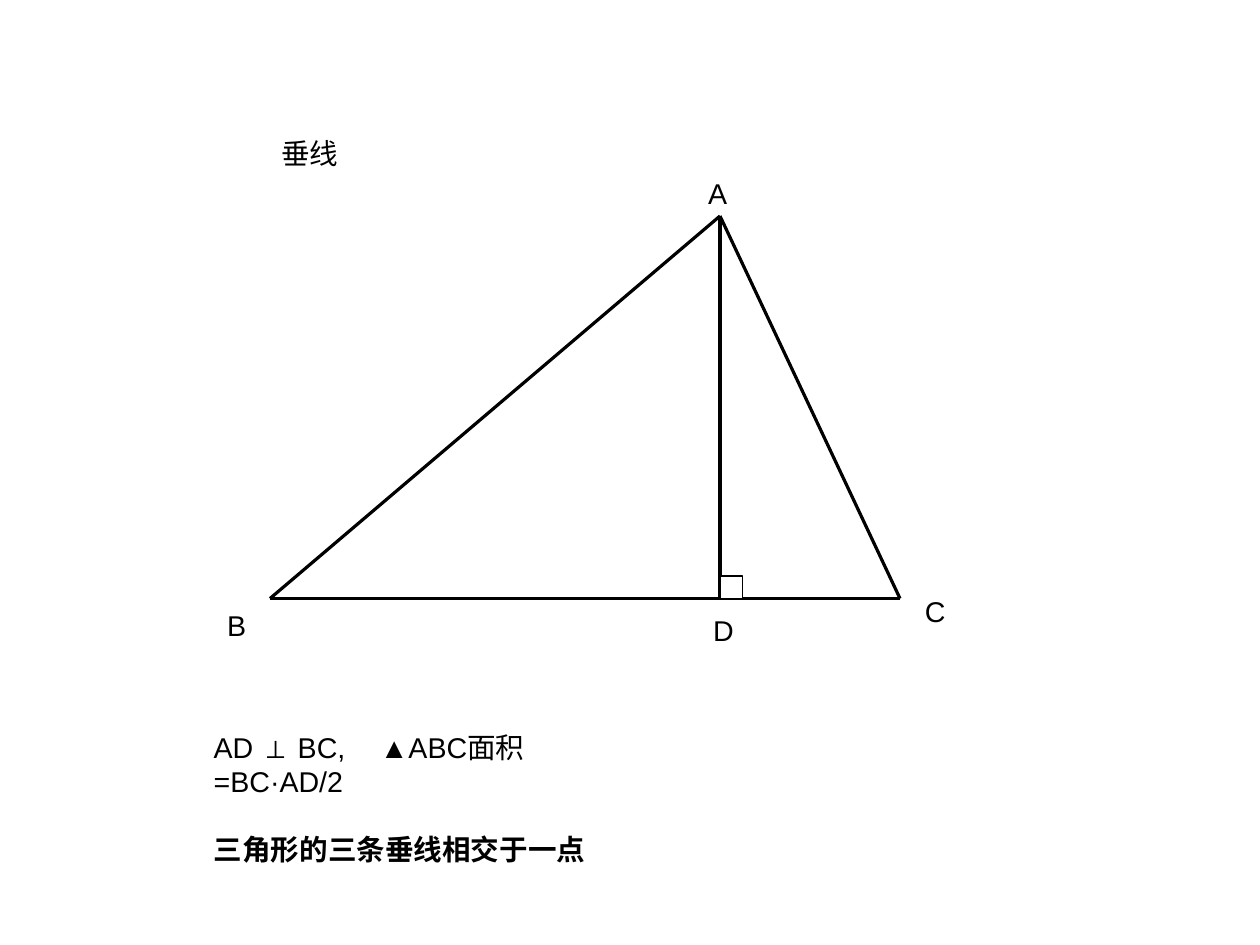
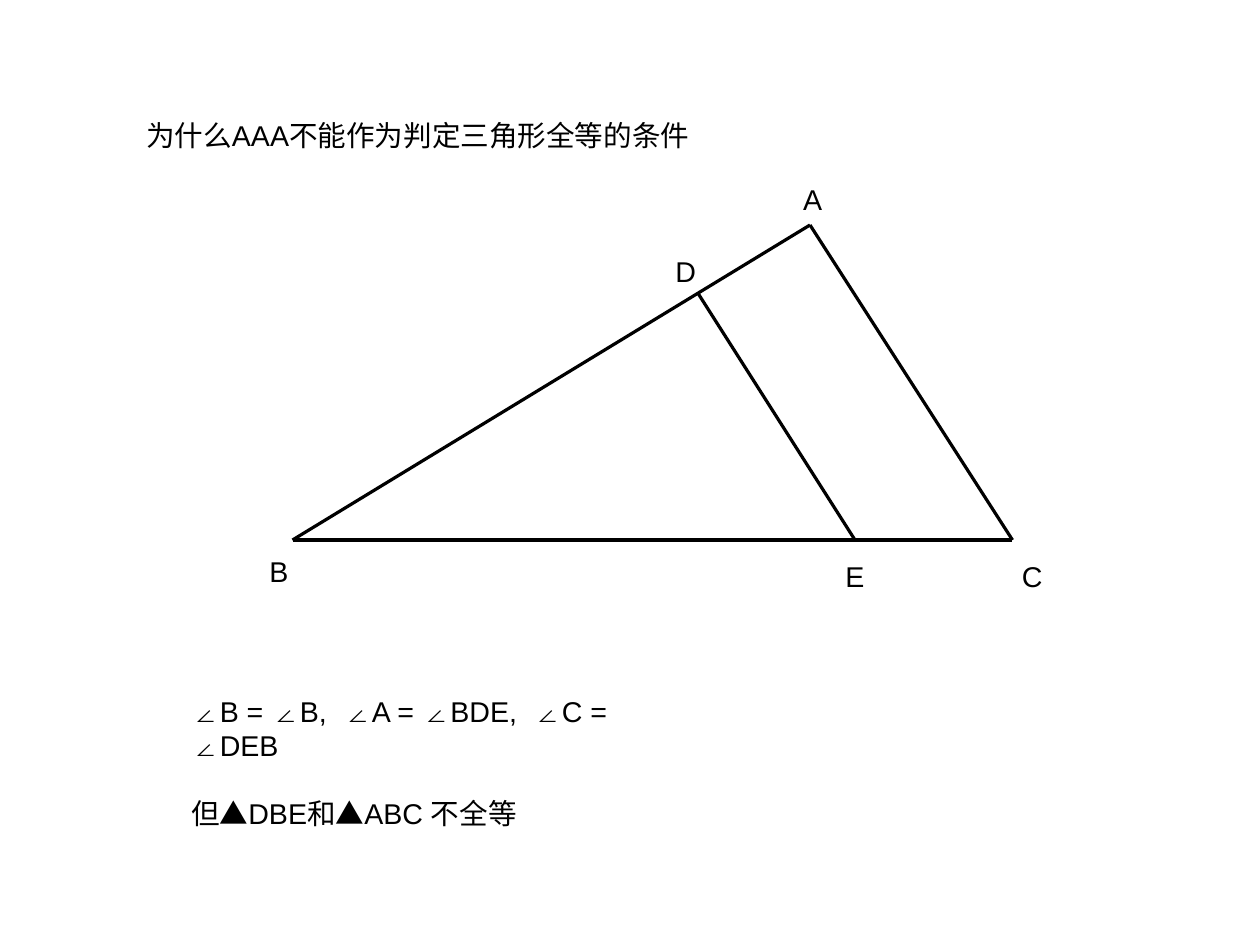
from lxml.etree import SubElement
from pptx import Presentation
from pptx.dml.color import RGBColor
from pptx.enum.shapes import MSO_CONNECTOR, MSO_SHAPE
from pptx.enum.text import PP_ALIGN
from pptx.oxml.ns import qn
from pptx.util import Cm, Pt

BLACK = RGBColor(0x00, 0x00, 0x00)
WHITE = RGBColor(0xFF, 0xFF, 0xFF)
FONT, SIZE = "Arial", Pt(18)
HAIRLINE = Pt(0)
LABEL = 0.96      # side of a vertex label box, cm
ANGLE_MARK = 0.5  # side of the right-angle mark, cm


def style(p, bold=False):
    f = p.font
    f.name, f.size, f.bold = FONT, SIZE, bold
    f.color.rgb = BLACK


def add_text(s, box, text, wrap=False, align=PP_ALIGN.LEFT):
    tf = s.shapes.add_textbox(*map(Cm, box)).text_frame
    tf.word_wrap = wrap
    p = tf.paragraphs[0]
    p.text = text
    p.alignment = align
    return tf


def add_label(s, x, y, text):
    """Centre a vertex letter on (x, y)."""
    box = (x - LABEL / 2, y - LABEL / 2, LABEL, LABEL)
    style(add_text(s, box, text, align=PP_ALIGN.CENTER).paragraphs[0])


def add_title(s, box, text):
    style(add_text(s, box, text).paragraphs[0])


def add_note(s, box, formula, conclusion, tabs, bold=False):
    """Formula with tab stops (cm), then the conclusion one line below."""
    tf = add_text(s, box, formula, wrap=True)
    p = tf.paragraphs[0]
    tab_list = SubElement(p._p.get_or_add_pPr(), qn("a:tabLst"))
    for pos in tabs:
        SubElement(tab_list, qn("a:tab"), pos=str(Cm(pos)), algn="l")
    style(p)
    p = tf.add_paragraph()
    p.text = conclusion
    p.space_before = Pt(21)
    style(p, bold)


def add_segment(s, start, end):
    c = s.shapes.add_connector(MSO_CONNECTOR.STRAIGHT, *map(Cm, start + end))
    c.line.color.rgb = BLACK
    c.line.width = HAIRLINE
    SubElement(c._element.spPr, qn("a:effectLst"))


def add_right_angle(s, x, y):
    """Square whose lower left corner is the foot (x, y)."""
    sp = s.shapes.add_shape(MSO_SHAPE.RECTANGLE, Cm(x), Cm(y - ANGLE_MARK),
                            Cm(ANGLE_MARK), Cm(ANGLE_MARK))
    sp.shadow.inherit = False
    sp.fill.solid()
    sp.fill.fore_color.rgb = WHITE
    sp.line.color.rgb = BLACK
    sp.line.width = HAIRLINE


def add_figure(s, left, top, vertices, segments, foot=None):
    """Vertices map a letter to (x, y, label dx, label dy), from left, top."""
    at = {k: (left + x, top + y) for k, (x, y, _, _) in vertices.items()}
    for a, b in segments:
        add_segment(s, at[a], at[b])
    if foot:
        add_right_angle(s, *at[foot])
    for letter, (_, _, dx, dy) in vertices.items():
        x, y = at[letter]
        add_label(s, x + dx, y + dy, letter)


def altitude_slide(s):
    add_title(s, (6, 2.9, 1.8, 1.17), "垂线")
    add_figure(s, 6, 4.8, {
        "A": (10, 0, -0.05, -0.53),
        "B": (0, 8.5, -0.74, 0.57),
        "C": (14, 8.5, 0.78, 0.26),
        "D": (10, 8.5, 0.08, 0.67),
    }, ("AB", "AC", "BC", "AD"), foot="D")
    add_note(s, (4.5, 16.1, 10.2, 2.8), "AD ⊥ BC,\t▲ABC面积=BC·AD/2",
             "三角形的三条垂线相交于一点", tabs=(3.7,), bold=True)


def similar_slide(s):
    add_title(s, (3, 2.5, 12.9, 1.17), "为什么AAA不能作为判定三角形全等的条件")
    add_figure(s, 6.5, 5, {
        "A": (11.5, 0, 0.06, -0.61),
        "B": (0, 7, -0.3, 0.67),
        "C": (16, 7, 0.44, 0.78),
        "D": (9, 1.5, -0.26, -0.51),
        "E": (12.5, 7, 0, 0.78),
    }, ("BA", "AC", "BC", "DE"))
    add_note(s, (4, 15.3, 11.2, 2.6), "∠B = ∠B,\t∠A = ∠BDE,\t∠C = ∠DEB",
             "但▲DBE和▲ABC 不全等", tabs=(3.38, 7.6))


def main():
    prs = Presentation()
    prs.slide_width, prs.slide_height = Cm(28), Cm(21)
    for build in (altitude_slide, similar_slide):
        build(prs.slides.add_slide(prs.slide_layouts[6]))
    prs.save("out.pptx")


if __name__ == "__main__":
    main()
